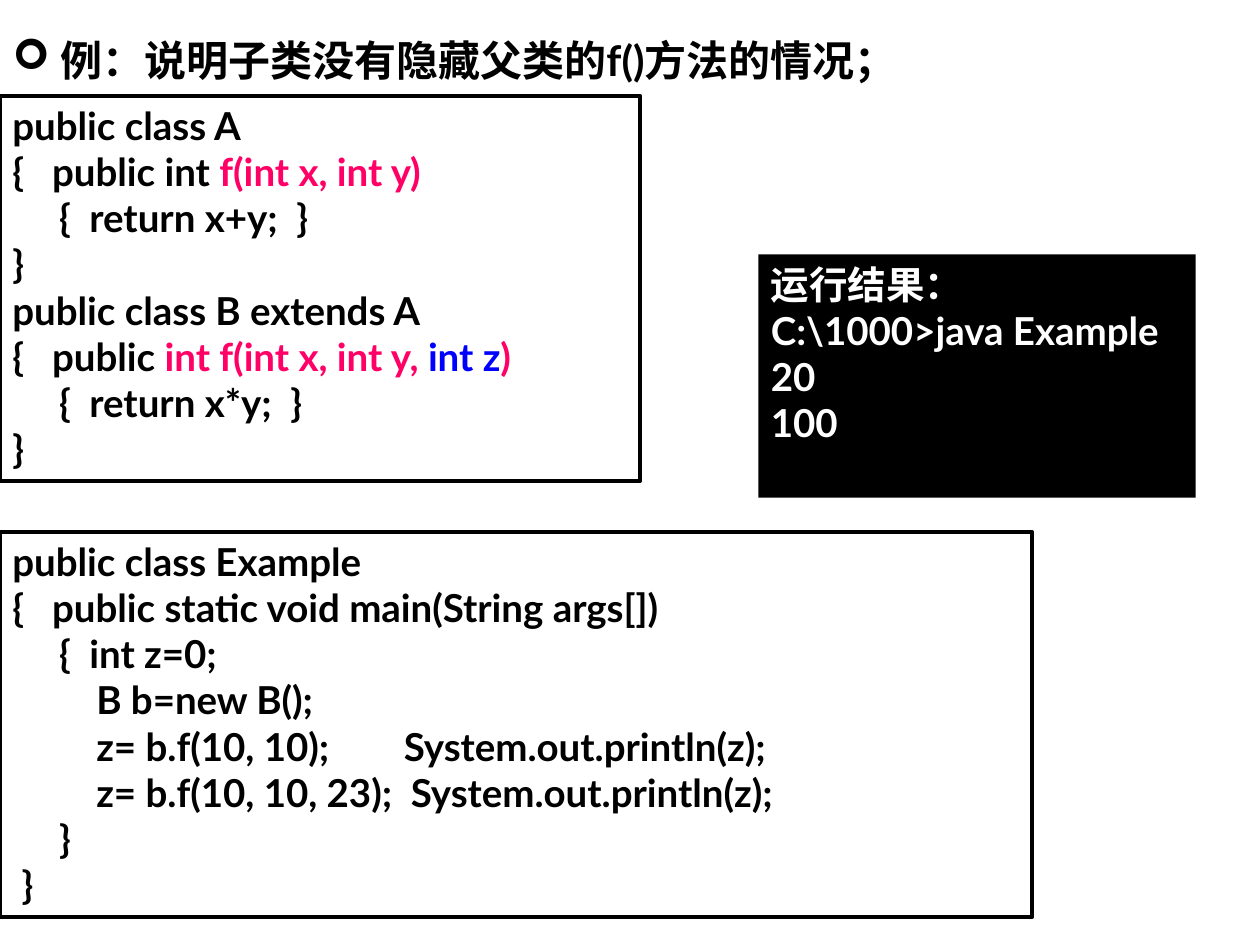
from pptx import Presentation
from pptx.dml.color import RGBColor as RGB
from pptx.enum.shapes import MSO_SHAPE as SHAPE
from pptx.enum.text import MSO_ANCHOR as ANCHOR, MSO_AUTO_SIZE as FIT, PP_ALIGN as ALIGN
from pptx.oxml.ns import qn
from pptx.util import Inches, Pt
from lxml.etree import SubElement

THEME = {
    "font": "Lato", "title": Pt(24), "body": Pt(22), "border": Pt(2.25),
    "black": RGB(0, 0, 0), "white": RGB(255, 255, 255),
    "pink": RGB(255, 0, 102), "blue": RGB(0, 0, 255),
}

TITLE = "例：说明子类没有隐藏父类的f()方法的情况；"

CLASSES = [
    "public class A",
    [("{   public int ", "black"), ("f(int x, int y)", "pink")],
    "     {  return x+y;  }",
    "}",
    "public class B extends A",
    [("{   public ", "black"), ("int f(int x, int y, ", "pink"),
     ("int z", "blue"), (")", "pink")],
    "     {  return x*y;  }",
    "}",
]

EXAMPLE = [
    "public class Example",
    "{   public static void main(String args[])",
    "     {  int z=0;",
    "         B b=new B();",
    "         z= b.f(10, 10);        System.out.println(z);",
    "         z= b.f(10, 10, 23);  System.out.println(z);",
    "     }",
    " }",
]

RESULT = ["运行结果：", "C:\\1000>java Example", "20", "100"]

BOXES = [
    (CLASSES, (0, 0.76, 5.08, 3.06), "black", None),
    (EXAMPLE, (0, 4.22, 8.19, 3.06), "black", None),
    (RESULT, (6.02, 2.02, 3.47, 1.93), "white", "black"),
]


def style(font, size, color):
    font.name, font.size, font.bold = THEME["font"], THEME[size], True
    font.color.rgb = THEME[color]


def set_frame(tf, wrap=True):
    tf.word_wrap, tf.auto_size, tf.vertical_anchor = wrap, FIT.NONE, ANCHOR.TOP


def add_title(s):
    sp = s.shapes.title
    sp.left, sp.top, sp.width, sp.height = map(Inches, (0, 0.22, 8.58, 0.5))
    tf = sp.text_frame
    tf.text = TITLE
    set_frame(tf)
    p = tf.paragraphs[0]
    p.alignment = ALIGN.LEFT
    pPr = p._p.get_or_add_pPr()
    pPr.set("marL", str(Inches(0.38)))
    pPr.set("indent", str(-Inches(0.38)))
    SubElement(pPr, qn("a:buFont"), typeface="Wingdings")
    SubElement(pPr, qn("a:buChar"), char="➢")
    style(p.runs[0].font, "title", "black")


def add_box(s, lines, at, color, fill):
    sp = s.shapes.add_shape(SHAPE.RECTANGLE, *map(Inches, at))
    sp.shadow.inherit = False
    if fill:
        sp.fill.solid()
        sp.fill.fore_color.rgb = THEME[fill]
        sp.line.fill.background()
    else:
        sp.fill.background()
        sp.line.color.rgb = THEME["black"]
        sp.line.width = THEME["border"]
    tf = sp.text_frame
    set_frame(tf)
    for i, line in enumerate(lines):
        p = tf.add_paragraph() if i else tf.paragraphs[0]
        p.alignment = ALIGN.LEFT
        for text, tint in [(line, color)] if isinstance(line, str) else line:
            r = p.add_run()
            r.text = text
            style(r.font, "body", tint)


def main():
    prs = Presentation()
    prs.slide_width, prs.slide_height = Inches(10), Inches(7.5)
    s = prs.slides.add_slide(prs.slide_layouts[5])
    add_title(s)
    for box in BOXES:
        add_box(s, *box)
    prs.save("out.pptx")


if __name__ == "__main__":
    main()
